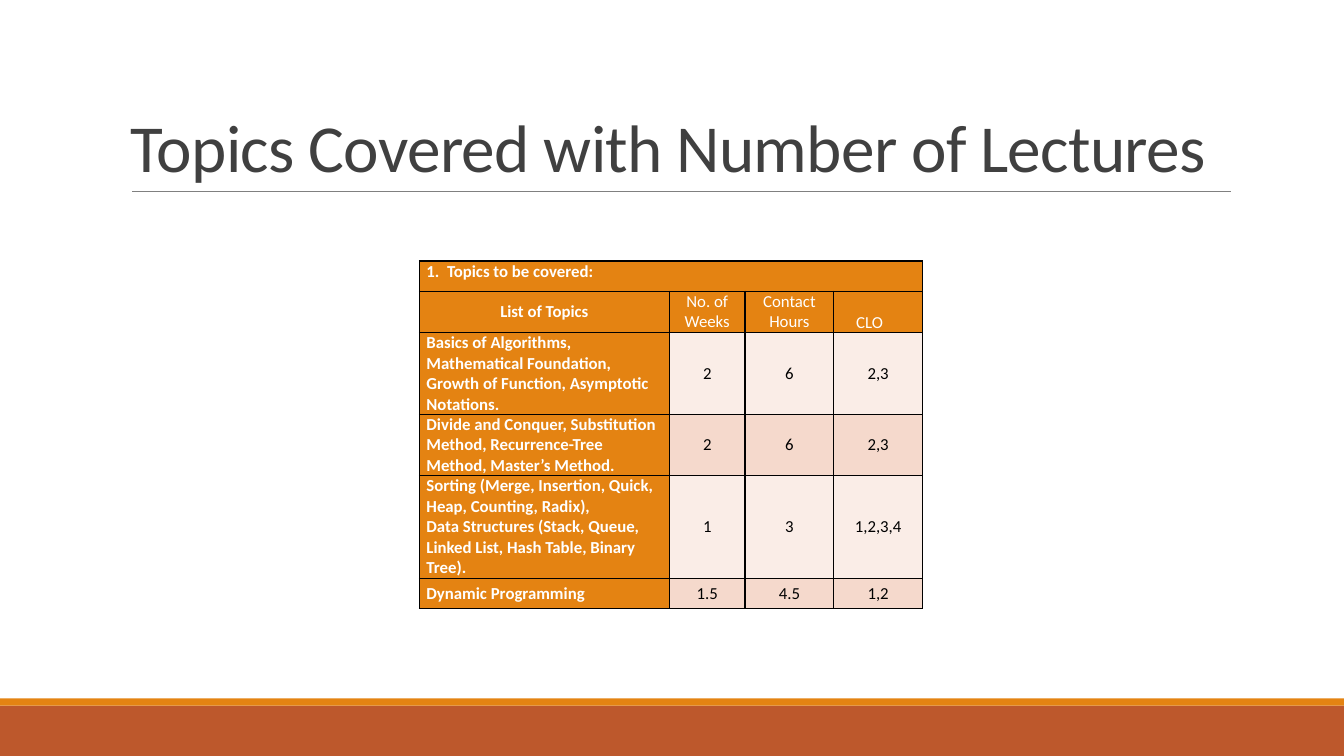
from dataclasses import dataclass

from lxml import etree
from pptx import Presentation
from pptx import util as u
from pptx.dml.color import RGBColor
from pptx.enum import shapes, text
from pptx.oxml.ns import qn


@dataclass(frozen=True)
class Theme:
    """Colours, type sizes and font of the slide."""
    font: str = "Calibri"
    title_size: float = 48
    table_size: float = 12
    orange: str = "E48312"
    rust: str = "BD582C"
    rule: str = "808080"
    title: str = "404040"
    white: str = "FFFFFF"
    black: str = "000000"
    bands: tuple = ("FAEDE7", "F5D9CC")


THEME = Theme()
HEADINGS = ("List of Topics", "No. of Weeks", "Contact Hours", "CLO")
TOPICS = (
    ("Basics of Algorithms, Mathematical Foundation, Growth of Function, "
     "Asymptotic Notations.", "2", "6", "2,3"),
    ("Divide and Conquer, Substitution Method, Recurrence-Tree Method, "
     "Master’s Method.", "2", "6", "2,3"),
    ("Sorting (Merge, Insertion, Quick, Heap, Counting, Radix),\n"
     "Data Structures (Stack, Queue, Linked List, Hash Table, Binary Tree).",
     "1", "3", "1,2,3,4"),
    ("Dynamic Programming", "1.5", "4.5", "1,2"),
)
COLUMN_WIDTHS = (2.48, 0.75, 0.88, 0.88)
ROW_HEIGHTS = (0.3, 0.41, 0.81, 0.61, 1.02, 0.3)


def rgb(code):
    """Turn a hex code into a colour."""
    return RGBColor.from_string(code)


def style_text(frame, size, color, bold=False, align=text.PP_ALIGN.LEFT):
    """Format every paragraph and run of a text frame."""
    for paragraph in frame.paragraphs:
        paragraph.alignment = align
        for run in paragraph.runs:
            run.font.name = THEME.font
            run.font.size = u.Pt(size)
            run.font.bold = bold
            run.font.color.rgb = rgb(color)


def add_band(slide, top, height, color):
    """Draw a full-width band at the foot of the slide."""
    band = slide.shapes.add_shape(shapes.MSO_SHAPE.RECTANGLE, 0, u.Inches(top),
                                  u.Inches(13.33), u.Inches(height))
    band.shadow.inherit = False
    band.fill.solid()
    band.fill.fore_color.rgb = rgb(color)
    band.line.fill.background()


def add_rule(slide, left, right, y):
    """Draw the thin rule below the title."""
    rule = slide.shapes.add_connector(
        shapes.MSO_CONNECTOR.STRAIGHT,
        u.Inches(left), u.Inches(y), u.Inches(right), u.Inches(y))
    rule.line.color.rgb = rgb(THEME.rule)
    rule.line.width = u.Pt(0.5)
    etree.SubElement(rule._element.spPr, qn("a:effectLst"))


def add_title(slide, wording):
    """Place the title, resting on the rule."""
    title = slide.shapes.add_textbox(u.Inches(1.2), u.Inches(0.31),
                                     u.Inches(11), u.Inches(1.59))
    frame = title.text_frame
    frame.word_wrap = True
    frame.vertical_anchor = text.MSO_ANCHOR.BOTTOM
    frame.text = wording
    style_text(frame, THEME.title_size, THEME.title)
    heading = frame.paragraphs[0]
    heading.line_spacing = 0.85
    heading.runs[0].font._element.set("spc", "-50")


def add_borders(cell):
    """Put a black one-point border on all sides of a cell."""
    properties = cell._tc.get_or_add_tcPr()
    for side in ("lnL", "lnR", "lnT", "lnB"):
        border = etree.SubElement(properties, qn(f"a:{side}"), w=str(u.Pt(1)))
        fill = etree.SubElement(border, qn("a:solidFill"))
        etree.SubElement(fill, qn("a:srgbClr"), val=THEME.black)


def fill_cell(cell, wording, fill, color, bold, align):
    """Write one table cell with its fill, borders and type."""
    add_borders(cell)
    cell.fill.solid()
    cell.fill.fore_color.rgb = rgb(fill)
    cell.margin_left = cell.margin_right = u.Inches(0.07)
    cell.margin_top = cell.margin_bottom = 0
    cell.vertical_anchor = text.MSO_ANCHOR.MIDDLE
    cell.text_frame.text = wording
    style_text(cell.text_frame, THEME.table_size, color, bold, align)


def add_topics_table(slide):
    """Build the table of topics, weeks, hours and outcomes."""
    rows = (("1.  Topics to be covered:", "", "", ""), HEADINGS, *TOPICS)
    topics = slide.shapes.add_table(
        len(rows), len(HEADINGS), u.Inches(4.16), u.Inches(2.59),
        u.Inches(sum(COLUMN_WIDTHS)), u.Inches(sum(ROW_HEIGHTS))).table
    for column, width in zip(topics.columns, COLUMN_WIDTHS):
        column.width = u.Inches(width)
    for row, height in zip(topics.rows, ROW_HEIGHTS):
        row.height = u.Inches(height)

    for r, values in enumerate(rows):
        for c, wording in enumerate(values):
            on_orange = r < 2 or c == 0
            centred = c > 0 or r == 1
            fill_cell(topics.cell(r, c), wording,
                      THEME.orange if on_orange else THEME.bands[r % 2],
                      THEME.white if on_orange else THEME.black,
                      c == 0,
                      text.PP_ALIGN.CENTER if centred else text.PP_ALIGN.LEFT)

    caption = topics.cell(0, 0)
    caption.merge(topics.cell(0, len(HEADINGS) - 1))
    caption.vertical_anchor = text.MSO_ANCHOR.TOP
    outcomes = topics.cell(1, len(HEADINGS) - 1)
    outcomes.vertical_anchor = text.MSO_ANCHOR.BOTTOM
    outcomes.margin_right = u.Inches(0.24)


def main():
    """Build and save the slide."""
    deck = Presentation()
    deck.slide_width, deck.slide_height = u.Inches(13.33), u.Inches(7.5)
    slide = deck.slides.add_slide(deck.slide_layouts[6])
    slide.background.fill.solid()
    slide.background.fill.fore_color.rgb = rgb(THEME.white)
    add_band(slide, 7, 0.5, THEME.rust)
    add_band(slide, 6.93, 0.07, THEME.orange)
    add_rule(slide, 1.31, 12.21, 1.9)
    add_title(slide, "Topics Covered with Number of Lectures")
    add_topics_table(slide)
    deck.save("out.pptx")


main()
